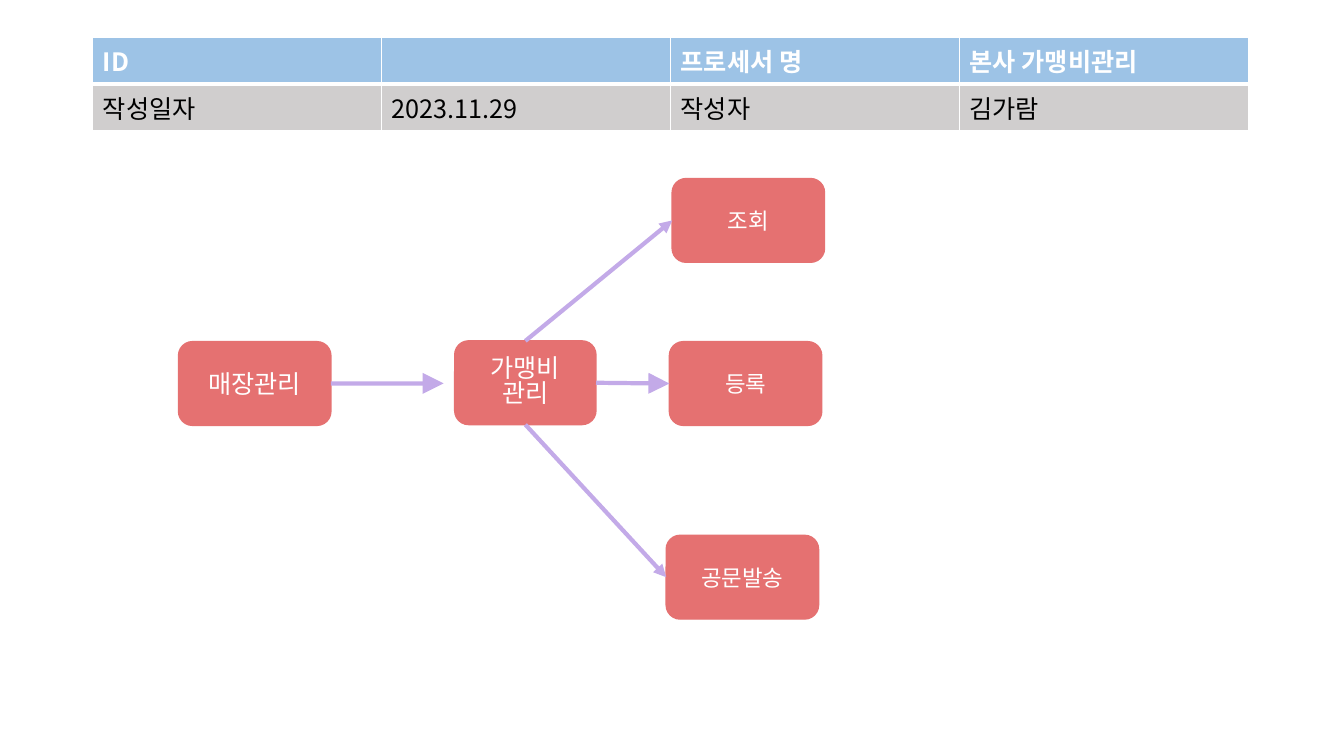
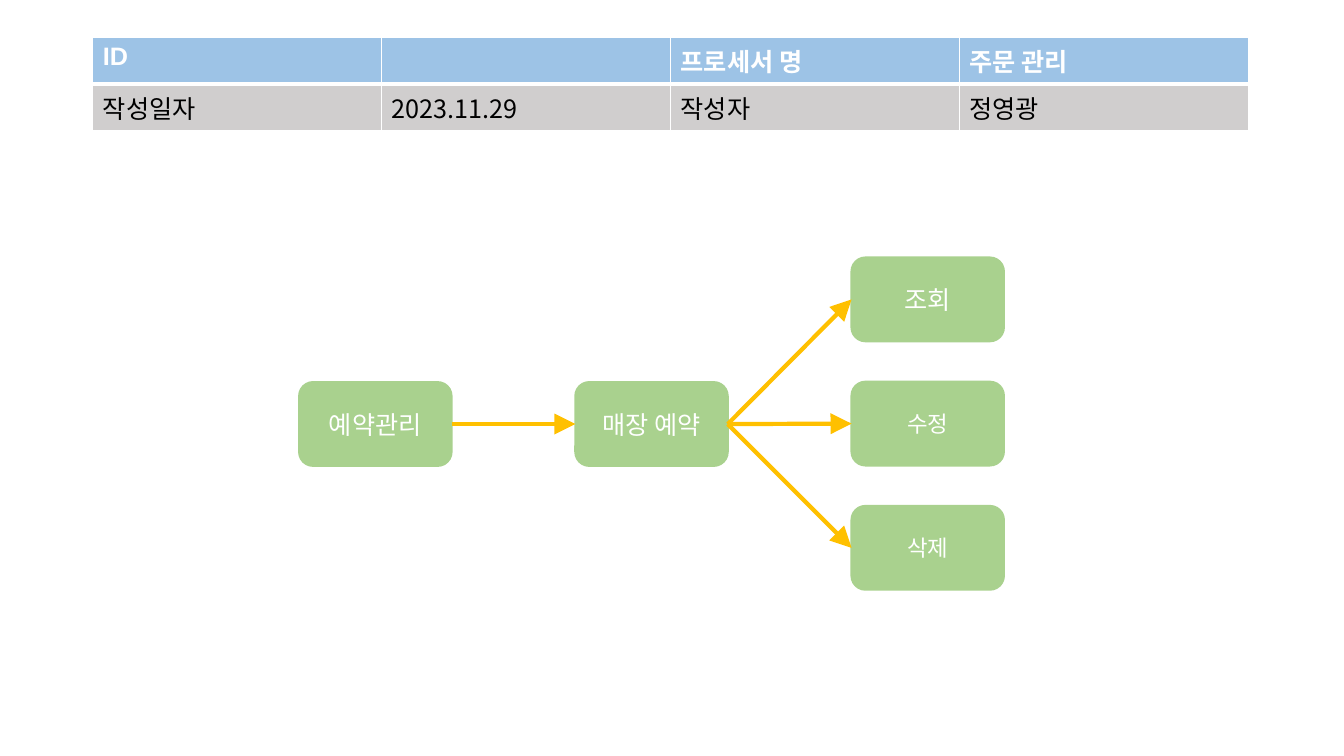
from pptx import Presentation
from pptx.dml.color import RGBColor
from pptx.enum.shapes import MSO_CONNECTOR, MSO_SHAPE
from pptx.enum.text import MSO_ANCHOR, PP_ALIGN
from pptx.oxml.ns import qn
from pptx.util import Cm, Pt
from lxml.etree import SubElement

COLORS = {
    "white": "FFFFFF",
    "black": "000000",
    "header": "9DC3E6",
    "body": "D0CECE",
    "coral": "E57171",
    "lilac": "C3AAE8",
    "green": "A9D18E",
    "amber": "FFC000",
}
KOREAN, LATIN = "Noto Sans CJK KR", "Arial"
DATE = "2023.11.29"
BOX_WIDTH, BOX_HEIGHT = 3.84, 2.11
TOP, LEFT, BOTTOM, RIGHT = range(4)


def color(name):
    return RGBColor.from_string(COLORS[name])


def set_format(target, values):
    for name, value in values.items():
        setattr(target, name, value)


def write(para, text, font, size, ink, bold=False):
    """Add one run, with the Korean font for East Asian letters."""
    span = para.add_run()
    span.text = text
    set_format(span.font, {"name": font, "size": Pt(size), "bold": bold})
    span.font.color.rgb = color(ink)
    SubElement(span._r.get_or_add_rPr(), qn("a:ea"), typeface=KOREAN)


def add_border(cell, side, points):
    line = SubElement(cell._tc.get_or_add_tcPr(), qn(f"a:ln{side}"), w=str(Pt(points)))
    fill = SubElement(line, qn("a:solidFill"))
    SubElement(fill, qn("a:srgbClr"), val=COLORS["white"])


def add_info_table(page, process, author, font):
    rows = [("ID", "", "프로세서 명", process), ("작성일자", DATE, "작성자", author)]
    styles = [
        {"fill": "header", "ink": "white", "bold": True, "height": 1.09, "bottom": 3},
        {"fill": "body", "ink": "black", "bold": False, "height": 1.04, "bottom": 1},
    ]
    frame = page.shapes.add_table(2, 4, Cm(2.34), Cm(0.94), Cm(29.12), Cm(2.13))
    table = frame.table
    for column in table.columns:
        column.width = Cm(7.28)
    for row, texts, style in zip(table.rows, rows, styles):
        row.height = Cm(style["height"])
        for cell, text in zip(row.cells, texts):
            top = 3 if style["fill"] == "body" else 1
            for side, points in zip("LRTB", (1, 1, top, style["bottom"])):
                add_border(cell, side, points)
            cell.fill.solid()
            cell.fill.fore_color.rgb = color(style["fill"])
            if text:
                write(cell.text_frame.paragraphs[0], text,
                      KOREAN if text == DATE else font, 18, style["ink"], style["bold"])


def add_box(page, text, left, top, look, size=18, width=BOX_WIDTH):
    box = page.shapes.add_shape(MSO_SHAPE.ROUNDED_RECTANGLE,
                                Cm(left), Cm(top), Cm(width), Cm(BOX_HEIGHT))
    box.shadow.inherit = False
    box.fill.solid()
    box.fill.fore_color.rgb = box.line.color.rgb = color(look["box"])
    box.line.width = Pt(look["outline"])
    set_format(box.text_frame, {"word_wrap": True, "vertical_anchor": MSO_ANCHOR.MIDDLE})
    lines = text.split("\n")
    for number, line in enumerate(lines):
        para = box.text_frame.add_paragraph() if number else box.text_frame.paragraphs[0]
        para.alignment = PP_ALIGN.CENTER
        if len(lines) > 1:
            para.line_spacing = 0.8
        write(para, line, look["font"], size, "white")
    return box


def add_arrow(page, start, start_side, look, end=None, point=(0, 0), head="lg"):
    """Draw from a side of start to the left side of end, or to a free point."""
    x, y = map(Cm, point)
    arrow = page.shapes.add_connector(MSO_CONNECTOR.STRAIGHT, x, y, x, y)
    arrow.begin_connect(start, start_side)
    if end is not None:
        arrow.end_connect(end, LEFT)
    arrow.line.color.rgb = color(look["arrow"])
    arrow.line.width = Pt(3)
    SubElement(arrow.line._get_or_add_ln(), qn("a:tailEnd"), type="triangle", w=head, len=head)
    SubElement(arrow._element.spPr, qn("a:effectLst"))


def add_fee_page(page):
    look = {"box": "coral", "arrow": "lilac", "outline": 1, "font": KOREAN}
    add_info_table(page, "본사 가맹비관리", "김가람", look["font"])
    store = add_box(page, "매장관리", 4.5, 8.61, look)
    fee = add_box(page, "가맹비\n관리", 11.46, 8.59, look, width=3.56)
    add_arrow(page, store, RIGHT, look, point=(11.18, 9.66))
    for text, left, top, side, head in [
        ("조회", 16.94, 4.5, TOP, "med"),
        ("등록", 16.87, 8.61, RIGHT, "lg"),
        ("공문발송", 16.79, 13.49, BOTTOM, "med"),
    ]:
        action = add_box(page, text, left, top, look, size=16)
        add_arrow(page, fee, side, look, end=action, head=head)


def add_order_page(page):
    look = {"box": "green", "arrow": "amber", "outline": 1.5, "font": LATIN}
    add_info_table(page, "주문 관리", "정영광", look["font"])
    booking = add_box(page, "예약관리", 7.54, 9.63, look)
    store = add_box(page, "매장 예약", 14.5, 9.63, look)
    add_arrow(page, booking, RIGHT, look, end=store)
    for row, (text, size) in enumerate([("조회", 18), ("수정", 16), ("삭제", 16)]):
        action = add_box(page, text, 21.46, 6.49 + 3.13 * row, look, size=size)
        add_arrow(page, store, RIGHT, look, end=action)


def main():
    deck = Presentation()
    set_format(deck, {"slide_width": Cm(33.87), "slide_height": Cm(19.05)})
    for fill_page in (add_fee_page, add_order_page):
        fill_page(deck.slides.add_slide(deck.slide_layouts[6]))
    deck.save("out.pptx")


if __name__ == "__main__":
    main()
